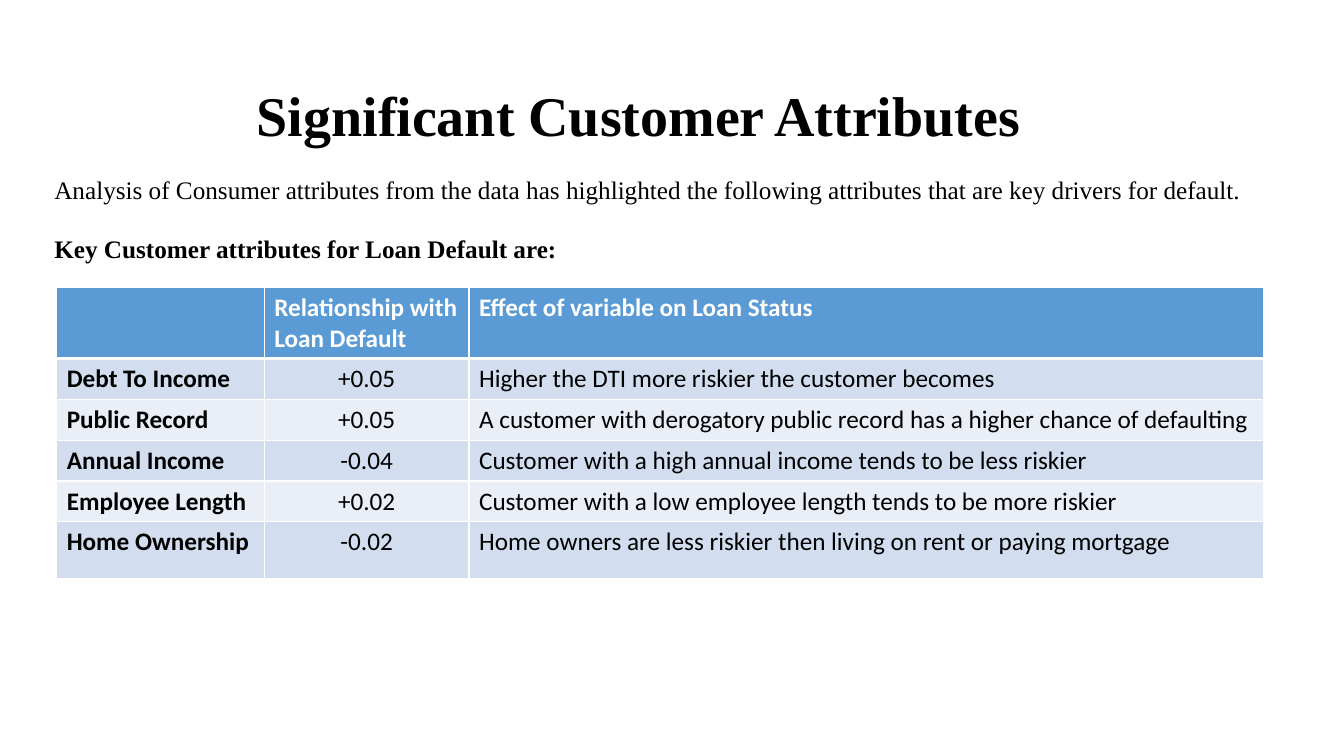
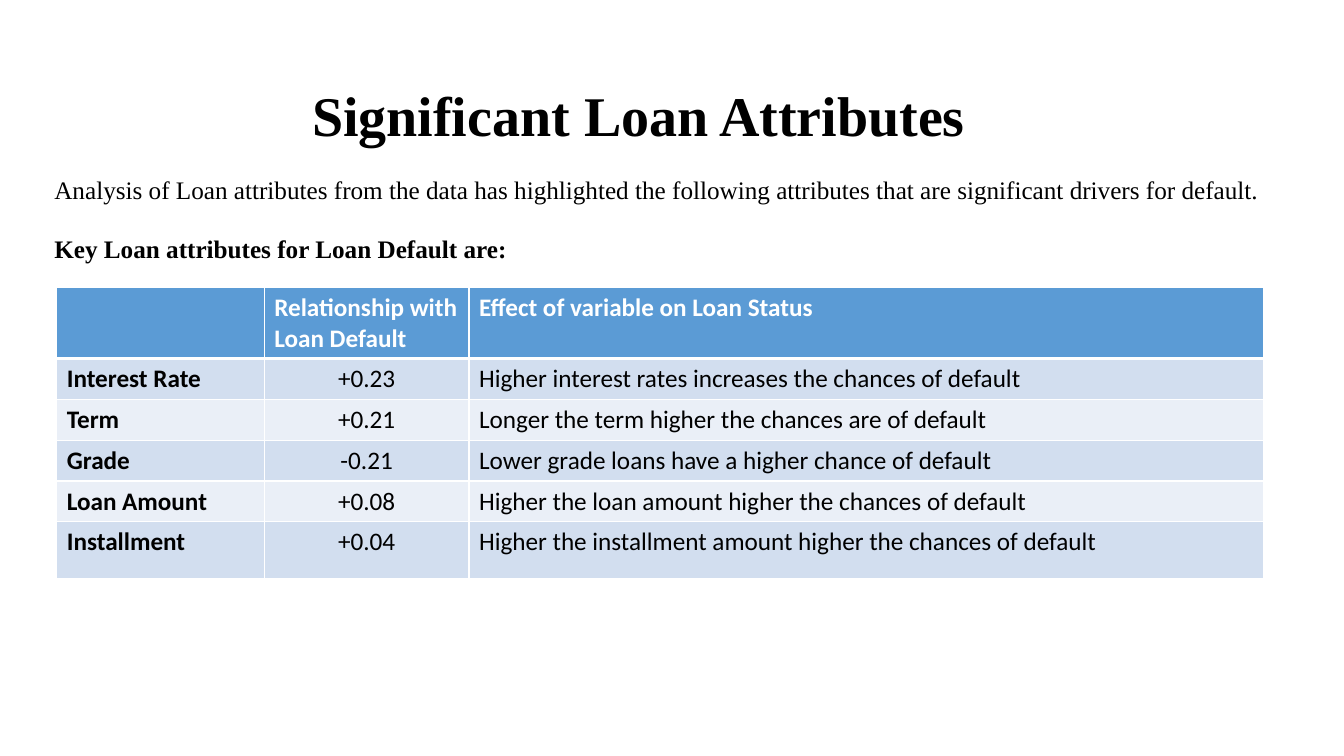
from dataclasses import dataclass

from lxml.etree import SubElement
from pptx import Presentation
from pptx.dml.color import RGBColor
from pptx.enum.text import MSO_ANCHOR, MSO_AUTO_SIZE, PP_ALIGN
from pptx.oxml.ns import qn
from pptx.util import Cm, Pt

# Content
HEADER = ("", "Relationship with Loan Default", "Effect of variable on Loan Status")
SLIDES = [
    {
        "title": "Significant Customer Attributes",
        "intro": "Analysis of Consumer attributes from the data has highlighted "
                 "the following attributes that are key drivers for default.",
        "lead": "Key Customer attributes for Loan Default are:",
        "rows": [
            ("Debt To Income", "+0.05", "Higher the DTI more riskier the customer becomes"),
            ("Public Record", "+0.05",
             "A customer with derogatory public record has a higher chance of defaulting"),
            ("Annual Income", "-0.04",
             "Customer with a high annual income tends to be less riskier"),
            ("Employee Length", "+0.02",
             "Customer with a low employee length tends to be more riskier"),
            ("Home Ownership", "-0.02",
             "Home owners are less riskier then living on rent or paying mortgage"),
        ],
    },
    {
        "title": "Significant Loan Attributes",
        "intro": "Analysis of Loan attributes from the data has highlighted "
                 "the following attributes that are significant drivers for default.",
        "lead": "Key Loan attributes for Loan Default are:",
        "rows": [
            ("Interest Rate", "+0.23", "Higher interest rates increases the chances of default"),
            ("Term", "+0.21", "Longer the term higher the chances are of default"),
            ("Grade", "-0.21", "Lower grade loans have a higher chance of default"),
            ("Loan Amount", "+0.08", "Higher the loan amount higher the chances of default"),
            ("Installment", "+0.04",
             "Higher the installment amount higher the chances of default"),
        ],
    },
]


@dataclass(frozen=True)
class Theme:
    heading_font: str = "Times New Roman"
    table_font: str = "Calibri"
    title_size: int = 40
    text_size: int = 18
    ink: str = "000000"
    white: str = "FFFFFF"
    header: str = "5B9BD5"
    bands: tuple = ("D2DEEF", "EAEFF7")
    rule: int = 1
    header_rule: int = 3


T = Theme()

# Layout
TITLE_BOX = (Cm(3.15), Cm(1.78), Cm(25.88), Cm(2.39))
INTRO_BOX = (Cm(1.12), Cm(3.89), Cm(31.01), Cm(3.3))
TABLE_LEFT, TABLE_TOP = Cm(1.43), Cm(7.25)
COL_WIDTHS = (Cm(5.23), Cm(5.16), Cm(20.02))
HEADER_HEIGHT, ROW_HEIGHT, LAST_HEIGHT = Cm(1.78), Cm(1.03), Cm(1.42)


def style(p, font, size, color=T.ink, bold=False, align=PP_ALIGN.LEFT):
    p.alignment = align
    for r in p.runs:
        r.font.name, r.font.size, r.font.bold = font, Pt(size), bold
        r.font.color.rgb = RGBColor.from_string(color)


def set_borders(cell, bottom, top):
    tcPr = cell._tc.get_or_add_tcPr()
    for side, width in (("L", T.rule), ("R", T.rule), ("T", top), ("B", bottom)):
        ln = SubElement(tcPr, qn(f"a:ln{side}"), w=str(Pt(width)))
        fill = SubElement(ln, qn("a:solidFill"))
        SubElement(fill, qn("a:srgbClr"), val=T.white)


def add_title(s, text):
    sp = s.shapes.title
    sp.left, sp.top, sp.width, sp.height = TITLE_BOX
    tf = sp.text_frame
    tf.text = text
    tf.auto_size = MSO_AUTO_SIZE.NONE
    tf.vertical_anchor = MSO_ANCHOR.MIDDLE
    p = tf.paragraphs[0]
    p.line_spacing = 0.9
    style(p, T.heading_font, T.title_size, bold=True, align=PP_ALIGN.CENTER)


def add_intro(s, intro, lead):
    tf = s.shapes.add_textbox(*INTRO_BOX).text_frame
    tf.word_wrap = True
    tf.text = f"{intro}\n{lead}"
    for p, bold in zip(tf.paragraphs, (False, True)):
        p.line_spacing, p.space_before = 1.5, Pt(10)
        style(p, T.heading_font, T.text_size, bold=bold)


def add_attributes(s, rows):
    cells = [HEADER, *rows]
    heights = [HEADER_HEIGHT] + [ROW_HEIGHT] * (len(rows) - 1) + [LAST_HEIGHT]
    table = s.shapes.add_table(len(cells), len(HEADER), TABLE_LEFT, TABLE_TOP,
                               sum(COL_WIDTHS), sum(heights)).table
    for column, width in zip(table.columns, COL_WIDTHS):
        column.width = width
    for i, (row, height) in enumerate(zip(cells, heights)):
        table.rows[i].height = height
        is_header = i == 0
        fill = T.header if is_header else T.bands[(i - 1) % 2]
        for j, text in enumerate(row):
            cell = table.cell(i, j)
            cell.text = text
            set_borders(cell, bottom=T.header_rule if is_header else T.rule,
                        top=T.header_rule if i == 1 else T.rule)
            cell.fill.solid()
            cell.fill.fore_color.rgb = RGBColor.from_string(fill)
            centred = j == 1 and not is_header
            style(cell.text_frame.paragraphs[0], T.table_font, T.text_size,
                  color=T.white if is_header else T.ink,
                  bold=is_header or j == 0,
                  align=PP_ALIGN.CENTER if centred else PP_ALIGN.LEFT)


def main():
    prs = Presentation()
    prs.slide_width, prs.slide_height = Cm(33.87), Cm(19.05)
    title_only = prs.slide_layouts[5]
    for content in SLIDES:
        s = prs.slides.add_slide(title_only)
        add_title(s, content["title"])
        add_intro(s, content["intro"], content["lead"])
        add_attributes(s, content["rows"])
    prs.save("out.pptx")


if __name__ == "__main__":
    main()
